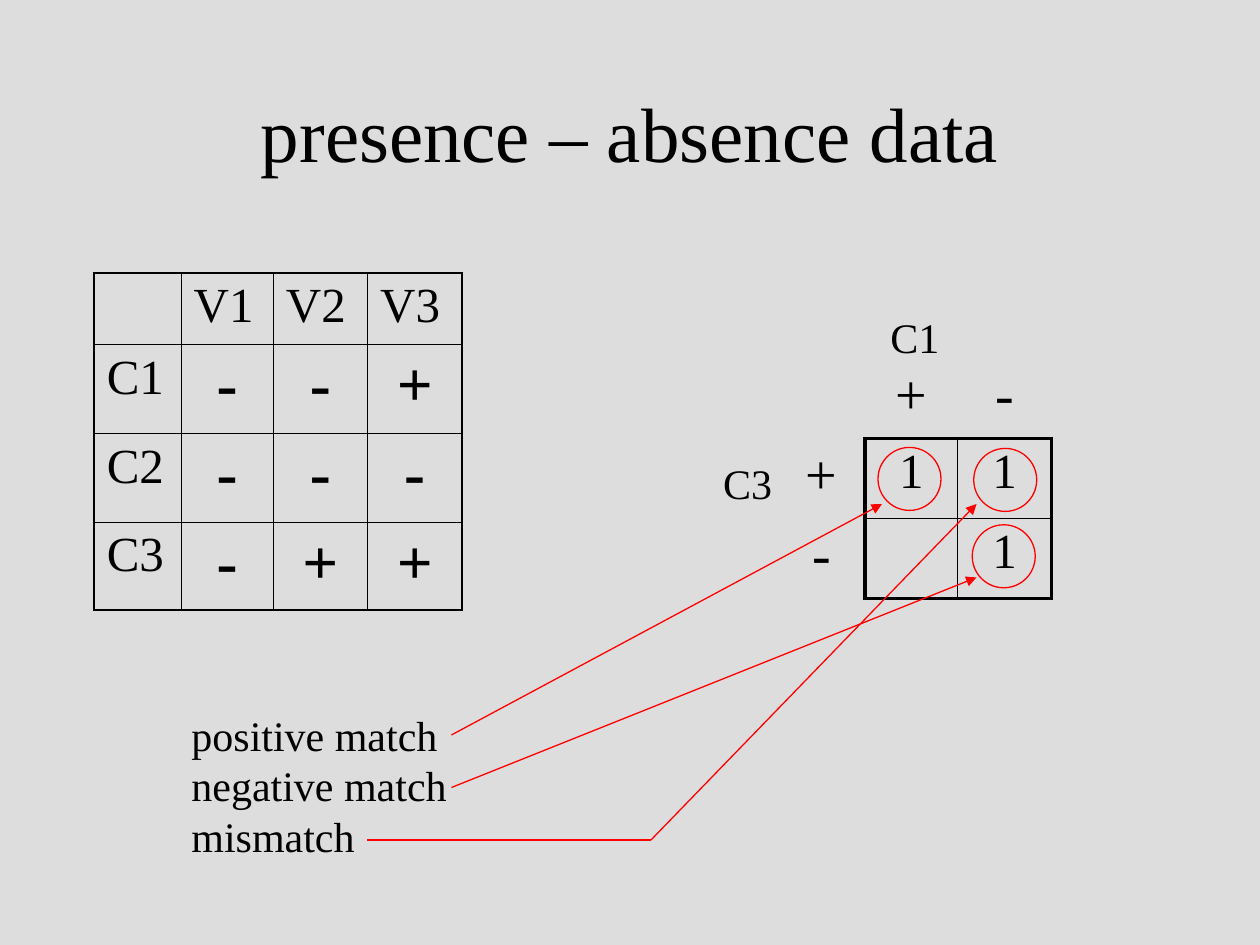
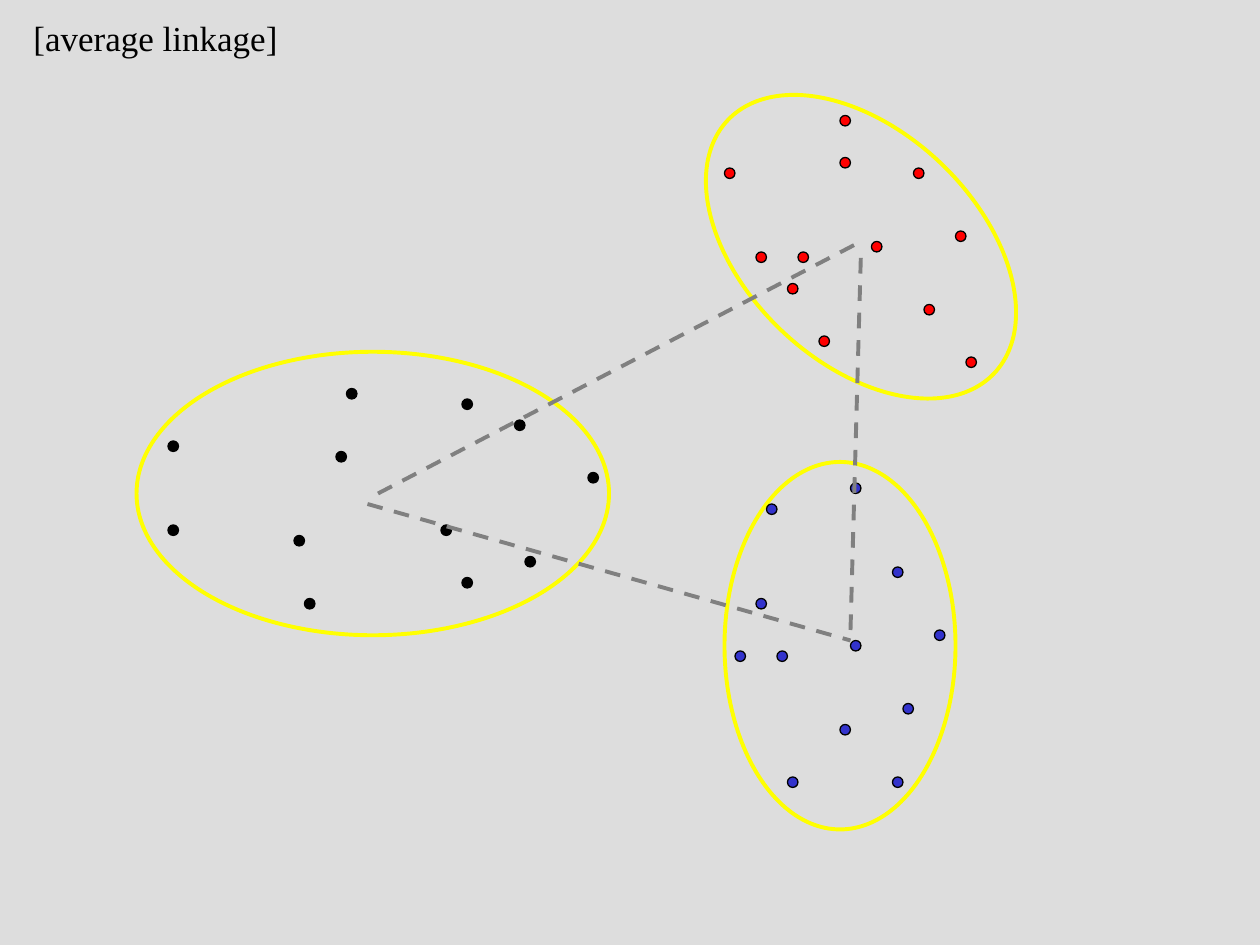
import lxml.etree
import pptx
import pptx.dml.color
import pptx.enum.dml
import pptx.enum.shapes
import pptx.enum.text
import pptx.oxml.ns
import pptx.util

Cm = pptx.util.Cm
Pt = pptx.util.Pt
rgb = pptx.dml.color.RGBColor.from_string
qn = pptx.oxml.ns.qn
OVAL = pptx.enum.shapes.MSO_SHAPE.OVAL
STRAIGHT = pptx.enum.shapes.MSO_CONNECTOR.STRAIGHT
DASH = pptx.enum.dml.MSO_LINE.DASH
LEFT = pptx.enum.text.PP_ALIGN.LEFT
CENTER = pptx.enum.text.PP_ALIGN.CENTER
MIDDLE = pptx.enum.text.MSO_ANCHOR.MIDDLE

FONT = "Times New Roman"
BLACK, GREY, RED, BLUE, YELLOW = "000000", "808080", "FF0000", "3333CC", "FFFF00"
BACKGROUND = "DDDDDD"
NO_STYLE = "{2D5ABB26-0587-4C30-8999-92F81FD0307C}"
STEP = Cm(25.4) // 120  # the slide is 120 by 90 steps


def write(frame, text, size, align=LEFT, bold=False, before=0.0):
    """Fill a text frame; before is the space above, as a share of the size."""
    frame.word_wrap = True
    paragraph = frame.paragraphs[0]
    paragraph.text = text
    paragraph.alignment = align
    paragraph.space_before = Pt(size * before)
    for run in paragraph.runs:
        run.font.name = FONT
        run.font.size = Pt(size)
        run.font.bold = bold
        run.font.color.rgb = rgb(BLACK)


def draw(shape, color, width=0.75, fill=None, dash=None, arrow=False):
    """Give a shape or connector its line and fill, and no shadow."""
    shape.line.color.rgb = rgb(color)
    shape.line.width = Pt(width)
    if dash:
        shape.line.dash_style = dash
    if arrow:
        lxml.etree.SubElement(shape.line._get_or_add_ln(), qn("a:tailEnd"), type="triangle")
    if fill:
        shape.fill.solid()
        shape.fill.fore_color.rgb = rgb(fill)
    elif hasattr(shape, "fill"):
        shape.fill.background()
    lxml.etree.SubElement(shape._element.spPr, qn("a:effectLst"))


deck = pptx.Presentation()
deck.slide_width, deck.slide_height = Cm(25.4), Cm(19.05)
deck.slide_master.background.fill.solid()
deck.slide_master.background.fill.fore_color.rgb = rgb(BACKGROUND)
blank = deck.slide_layouts[6]

# Slide 1: presence and absence data
presence = deck.slides.add_slide(blank).shapes

title = presence.add_textbox(Cm(1.9), Cm(1.06), Cm(21.6), Cm(3.18)).text_frame
title.vertical_anchor = MIDDLE
write(title, "presence – absence data", 44, align=CENTER)

# left, top, column widths, row heights, first framed row and column,
# outer line, sign size, bold signs, rows
tables = [
    (1.9, 5.5, (1.75, 1.86, 1.9, 1.9), (1.44, 1.79, 1.79, 1.78), 0, 1.08, 36, True,
     [("", "V1", "V2", "V3"), ("C1", "-", "-", "+"),
      ("C2", "-", "-", "-"), ("C3", "-", "+", "+")]),
    (15.69, 7.23, (1.75, 1.86, 1.9), (1.61, 1.61, 1.61), 1, 2.21, 32, False,
     [("", "+", "-"), ("+", "1", "1"), ("-", "", "1")]),
]
for left, top, widths, heights, first, outer, sign_size, bold, rows in tables:
    table = presence.add_table(len(heights), len(widths), Cm(left), Cm(top),
                               Cm(sum(widths)), Cm(sum(heights))).table
    table.first_row = table.horz_banding = False
    table._tbl.tblPr.find(qn("a:tableStyleId")).text = NO_STYLE
    for column, width in zip(table.columns, widths):
        column.width = Cm(width)
    for r, (row, height) in enumerate(zip(rows, heights)):
        table.rows[r].height = Cm(height)
        for c, text in enumerate(row):
            cell = table.cell(r, c)
            sign = text in ("+", "-")
            write(cell.text_frame, text, sign_size if sign else 28, bold=sign and bold,
                  align=CENTER if sign or text == "1" else LEFT, before=0.25)
            properties = cell._tc.get_or_add_tcPr()
            for side, edge, across, last in (
                ("a:lnL", c, r, len(widths)), ("a:lnR", c + 1, r, len(widths)),
                ("a:lnT", r, c, len(heights)), ("a:lnB", r + 1, c, len(heights)),
            ):
                if min(edge, across) >= first:
                    points = outer if edge in (first, last) else 0.45
                    border = lxml.etree.SubElement(properties, qn(side), w=str(Pt(points)))
                    solid = lxml.etree.SubElement(border, qn("a:solidFill"))
                    lxml.etree.SubElement(solid, qn("a:srgbClr"), val=BLACK)
            cell.fill.background()

for text, left, top, width, height in [
    ("C1", 17.7, 6.15, 5.28, 1.27),
    ("C3", 14.33, 9.1, 2.1, 1.27),
    ("positive match\nnegative match\nmismatch", 3.61, 14.18, 5.92, 3.3),
]:
    label = presence.add_textbox(Cm(left), Cm(top), Cm(width), Cm(height))
    write(label.text_frame, text, 24, before=0.625)

# circled count (left, top) and the points of its pointer in steps
matches = [
    ((17.7, 9.02), [(43, 70), (84, 48)]),
    ((19.6, 10.58), [(43, 75), (93, 55)]),
    ((19.63, 9.04), [(35, 80), (62, 80), (93, 48)]),
]
for (left, top), points in matches:
    draw(presence.add_shape(OVAL, Cm(left), Cm(top), Cm(1.27), Cm(1.27)), RED)
    for start, end in zip(points, points[1:]):
        pointer = presence.add_connector(STRAIGHT, *(STEP * n for n in start + end))
        draw(pointer, RED, arrow=end == points[-1])

# Slide 2: average linkage, all places in steps
linkage = deck.slides.add_slide(blank).shapes

for left, top, width, height, turn in [
    (13, 33.5, 45, 27, 0), (69, 44, 22, 35, 0), (71, 6, 22, 35, 313.6),
]:
    cluster = linkage.add_shape(
        OVAL, *(int(STEP * n) for n in (left, top, width, height)))
    cluster.rotation = turn
    draw(cluster, YELLOW, 2.25, fill=BACKGROUND)

members = {
    BLACK: [(16, 50), (29, 57), (44, 38), (44, 55), (56, 45), (50, 53),
            (16, 42), (28, 51), (33, 37), (42, 50), (49, 40), (32, 43)],
    BLUE: [(74, 62), (85, 74), (81, 46), (80, 69), (89, 60), (86, 67),
           (72, 57), (75, 74), (73, 48), (81, 61), (85, 54), (70, 62)],
    RED: [(76, 24), (92, 34), (80, 15), (78, 32), (91, 22), (88, 29),
          (69, 16), (75, 27), (80, 11), (83, 23), (87, 16), (72, 24)],
}
for color, places in members.items():
    for x, y in places:
        draw(linkage.add_shape(OVAL, STEP * x, STEP * y, STEP, STEP), BLACK, fill=color)

for ends in [(35, 48, 81, 61), (36, 47, 82, 23), (81, 60, 82, 24)]:
    link = linkage.add_connector(STRAIGHT, *(STEP * n for n in ends))
    draw(link, GREY, 2.25, dash=DASH)

caption = linkage.add_textbox(STEP * 2, STEP, STEP * 27, Cm(1.11))
write(caption.text_frame, "[average linkage]", 20, before=0.625)

deck.save("out.pptx")
